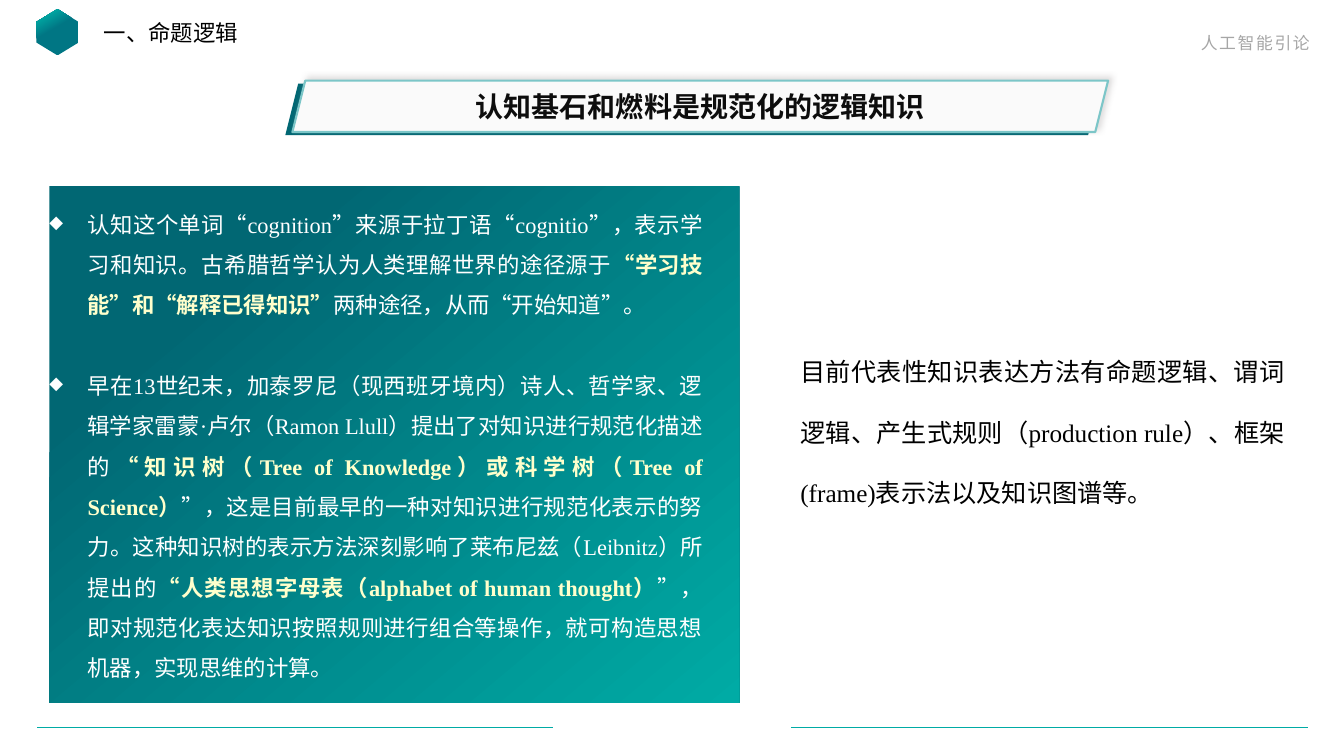
from lxml import etree
from pptx import Presentation
from pptx.dml.color import RGBColor
from pptx.enum.shapes import MSO_CONNECTOR, MSO_SHAPE as Shape
from pptx.enum.text import MSO_ANCHOR as Anchor, MSO_AUTO_SIZE as AutoSize, PP_ALIGN as Align
from pptx.oxml.ns import qn
from pptx.util import Inches, Pt

# Content
COURSE = "人工智能引论"
SECTION = "一、命题逻辑"
HEADLINE = "认知基石和燃料是规范化的逻辑知识"
# Each bullet alternates plain and highlighted pieces
BULLETS = [
    ["认知这个单词“cognition”来源于拉丁语“cognitio”，表示学习和知识。"
     "古希腊哲学认为人类理解世界的途径源于",
     "“学习技能”和“解释已得知识”",
     "两种途径，从而“开始知道”。"],
    ["早在13世纪末，加泰罗尼（现西班牙境内）诗人、哲学家、逻辑学家雷蒙·卢尔"
     "（Ramon Llull）提出了对知识进行规范化描述的",
     "“知识树（Tree of Knowledge）或科学树（Tree of Science）",
     "”，这是目前最早的一种对知识进行规范化表示的努力。"
     "这种知识树的表示方法深刻影响了莱布尼兹（Leibnitz）所提出的",
     "“人类思想字母表（alphabet of human thought）",
     "”，即对规范化表达知识按照规则进行组合等操作，就可构造思想机器，实现思维的计算。"],
]
SUMMARY = ("目前代表性知识表达方法有命题逻辑、谓词逻辑、产生式规则（production rule）、"
           "框架(frame)表示法以及知识图谱等。")

# Style
SERIF, SANS = "Times New Roman", "Noto Sans CJK SC"
DARK, TEAL, WHITE, YELLOW = "016773", "00ABA5", "FFFFFF", "FFFFCC"
FOOTER_LINES = [(0.37, 5.48), (7.85, 12.97)]

deck = Presentation()
deck.slide_width, deck.slide_height = Inches(13.33), Inches(7.5)
page = deck.slides.add_slide(deck.slide_layouts[5])


def color(value):
    return RGBColor.from_string(value)


def child(parent, tag, **attributes):
    return etree.SubElement(parent, qn(tag), attributes)


def add_shape(kind, box, fill=None):
    shape = page.shapes.add_shape(kind, *map(Inches, box))
    shape.shadow.inherit = False
    shape.line.fill.background()
    if fill:
        shape.fill.solid()
        shape.fill.fore_color.rgb = color(fill)
    return shape


def add_gradient(shape, stops, angle):
    shape.fill.gradient()
    shape.fill.gradient_angle = 360 - angle
    for stop, (position, value) in zip(shape.fill.gradient_stops, stops):
        stop.position = position
        stop.color.rgb = color(value)


def add_text(box):
    frame = page.shapes.add_textbox(*map(Inches, box)).text_frame
    frame.word_wrap = True
    return frame


def format_para(para, size, value, align, bold=False, latin=SERIF, spacing=None):
    para.alignment = align
    if spacing:
        para.line_spacing = spacing
    for span in para.runs:
        font = span.font
        font.size, font.bold, font.name = Pt(size), bold, latin
        font.color.rgb = color(value)
        props = span._r.get_or_add_rPr()
        props.set("lang", "zh-CN")
        child(props, "a:ea", typeface=SANS)


# Header: ornament, section title, course name
ornament = add_shape(Shape.HEXAGON, (0.34, 0.11, 0.46, 0.42))
ornament.rotation = 90
ornament.adjustments[0] = 0.305
add_gradient(ornament, [(0.57, "007684"), (0.87, TEAL)], 150)

title = page.shapes.title
title.left, title.top, title.width, title.height = map(Inches, (0.93, 0.14, 1.55, 0.37))
frame = title.text_frame
frame.text = SECTION
frame.auto_size, frame.word_wrap, frame.vertical_anchor = AutoSize.NONE, False, Anchor.TOP
format_para(frame.paragraphs[0], 16, "000000", Align.LEFT)

course = add_text((9.57, 0.28, 3.52, 0.3))
course.text = COURSE
format_para(course.paragraphs[0], 12, "A6A6A6", Align.RIGHT, latin=SANS)
course.paragraphs[0].runs[0]._r.get_or_add_rPr().set("spc", "120")

# Footer lines
for start, end in FOOTER_LINES:
    line = page.shapes.add_connector(
        MSO_CONNECTOR.STRAIGHT, *map(Inches, (start, 7.22, end, 7.22)))
    line.line.color.rgb, line.line.width = color(TEAL), Pt(0.5)
    child(line._element.spPr, "a:effectLst")

# Headline banner
add_shape(Shape.PARALLELOGRAM, (2.83, 0.83, 8.09, 0.51), DARK)
banner = add_shape(Shape.PARALLELOGRAM, (2.9, 0.8, 8.09, 0.51), "FAFAFA")
banner.line.color.rgb, banner.line.width = color("7CC6C8"), Pt(1.5)
effects = banner._element.spPr.find(qn("a:effectLst"))
shadow = child(effects, "a:outerShdw", blurRad=str(Pt(4)), dist=str(Pt(3)),
               dir="18900000", algn="bl", rotWithShape="0")
child(child(shadow, "a:srgbClr", val="AFABAB"), "a:alpha", val="40000")
frame = banner.text_frame
frame.text = HEADLINE
frame.vertical_anchor = Anchor.MIDDLE
frame.margin_top = frame.margin_bottom = 0
format_para(frame.paragraphs[0], 20, "0D0D0D", Align.CENTER, bold=True)

# Panel with bullets
panel = add_shape(Shape.RECTANGLE, (0.49, 1.85, 6.84, 5.12))
add_gradient(panel, [(0.22, DARK), (1, TEAL)], 50)
frame = add_text((0.39, 1.91, 6.68, 5.06))
for number, pieces in enumerate(BULLETS):
    para = frame.add_paragraph() if number else frame.paragraphs[0]
    for piece in pieces:
        para.add_run().text = piece
    if number:
        para.space_before = Pt(29)
    format_para(para, 16, WHITE, Align.JUSTIFY, spacing=1.5)
    for span in para.runs[1::2]:
        span.font.bold = True
        span.font.color.rgb = color(YELLOW)
    props = para._p.get_or_add_pPr()
    props.set("marL", str(Inches(0.38)))
    props.set("indent", str(Inches(-0.38)))
    child(child(props, "a:buClr"), "a:srgbClr", val=WHITE)
    child(props, "a:buSzPct", val="80000")
    child(props, "a:buChar", char="◆")

# Summary on the right
summary = add_text((7.84, 3.19, 5, 1.83))
summary.text = SUMMARY
format_para(summary.paragraphs[0], 18, "000000", Align.JUSTIFY, spacing=2)

deck.save("out.pptx")
